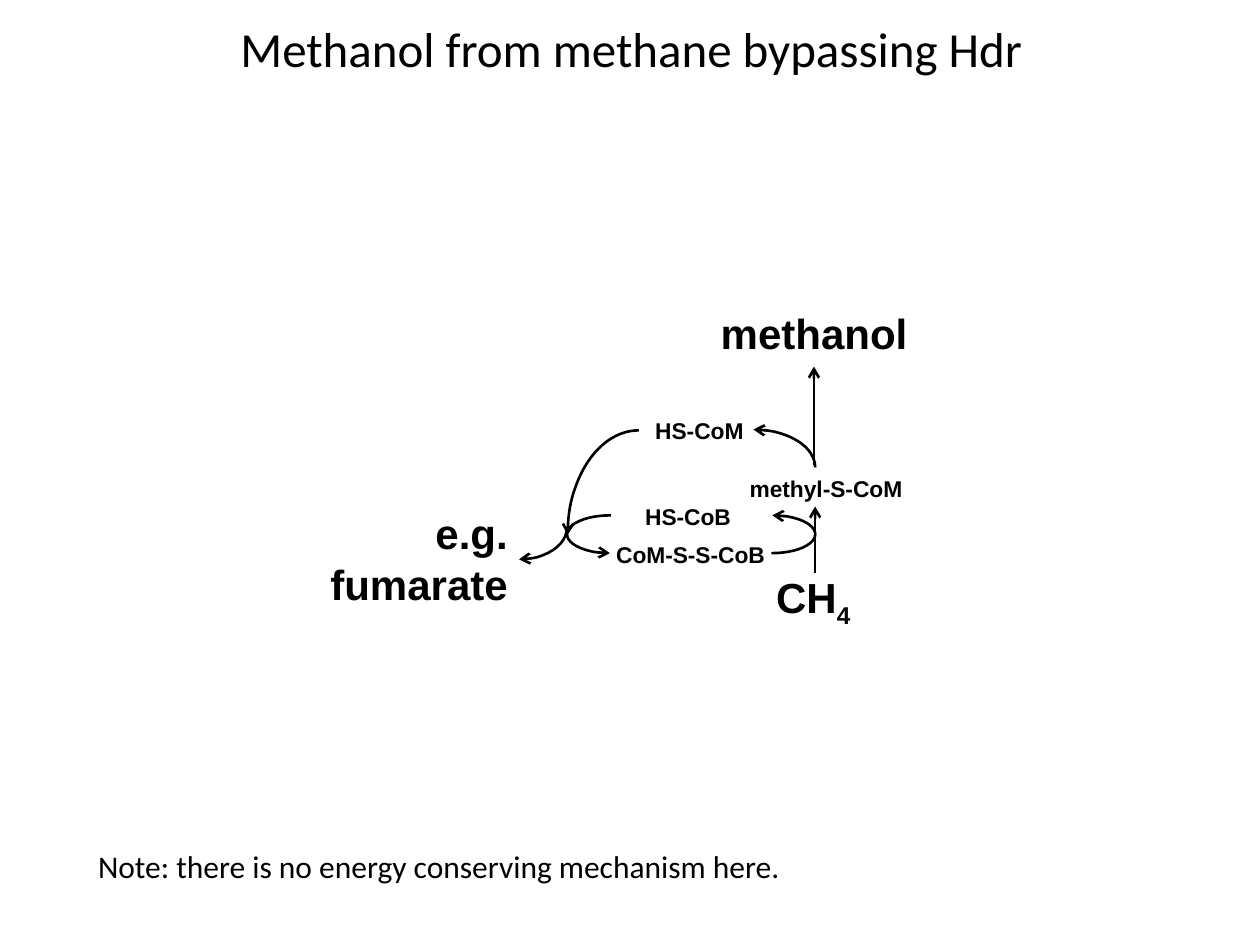
from pptx import Presentation
from pptx.dml.color import RGBColor
from pptx.enum.shapes import MSO_CONNECTOR, MSO_SHAPE
from pptx.enum.text import MSO_ANCHOR, MSO_AUTO_SIZE, PP_ALIGN
from pptx.oxml.ns import qn
from pptx.util import Inches, Pt
from lxml.etree import SubElement

BLACK, WHITE = "000000", "FFFFFF"


def color(hex_value):
    return RGBColor.from_string(hex_value)


def style_text(shape, text, size, font="Calibri", bold=False, align=PP_ALIGN.LEFT):
    frame = shape.text_frame
    frame.word_wrap = True
    frame.auto_size = MSO_AUTO_SIZE.SHAPE_TO_FIT_TEXT
    frame.vertical_anchor = MSO_ANCHOR.TOP
    frame.text = text
    paragraph = frame.paragraphs[0]
    paragraph.alignment = align
    paragraph.font.name = font
    paragraph.font.size = Pt(size)
    paragraph.font.bold = bold
    paragraph.font.color.rgb = color(BLACK)
    return paragraph


def add_label(slide, left, top, width, height, text, size, align=PP_ALIGN.LEFT):
    label = slide.shapes.add_textbox(Inches(left), Inches(top), Inches(width), Inches(height))
    frame = label.text_frame
    frame.margin_left = Inches(0.09)
    frame.margin_right = Inches(0.09 if align == PP_ALIGN.RIGHT else 0)
    frame.margin_top = frame.margin_bottom = Inches(0.05)
    return style_text(label, text, size, "Arial", True, align)


def style_arrow(shape, end):
    shape.line.color.rgb = color(BLACK)
    shape.line.width = Pt(1.5)
    SubElement(shape.line._get_or_add_ln(), qn(f"a:{end}"), type="arrow")


def add_arrow(slide, x, start, end):
    arrow = slide.shapes.add_connector(
        MSO_CONNECTOR.STRAIGHT, Inches(x), Inches(start), Inches(x), Inches(end))
    style_arrow(arrow, "tailEnd")
    SubElement(arrow.element.spPr, qn("a:effectLst"))


def add_arc(slide, left, top, width, height, rotation=0, half=False, flip=False):
    arc = slide.shapes.add_shape(
        MSO_SHAPE.ARC, Inches(left), Inches(top), Inches(width), Inches(height))
    arc.shadow.inherit = False
    arc.rotation = rotation
    if half:
        arc.adjustments[0], arc.adjustments[1] = 162, 55.746
        arc.fill.solid()
        arc.fill.fore_color.rgb = color(WHITE)
    else:
        arc.fill.background()
    if flip:
        arc.element.spPr.xfrm.set("flipV", "1")
    style_arrow(arc, "headEnd")


def add_pathway(slide, left, top):
    add_arrow(slide, left + 4.19, top + 2.16, top + 1.63)
    add_arrow(slide, left + 4.18, top + 1.3, top + 0.52)

    for x, y, width, height, options in (
        (3.51, 1.7, 0.68, 0.3, {"half": True}),
        (2.22, 1.7, 0.68, 0.3, {"half": True, "rotation": 180}),
        (1.96, 1.29, 1.66, 1.13, {"rotation": 270}),
        (3.21, 1.02, 0.98, 0.6, {}),
        (1.46, 1.55, 0.76, 0.5, {"flip": True}),
    ):
        add_arc(slide, left + x, top + y, width, height, **options)

    for x, y, width, text in (
        (3.58, 1.33, 1.74, "methyl-S-CoM"),
        (2.83, 0.87, 0.91, "HS-CoM"),
        (2.52, 1.85, 1.36, "CoM-S-S-CoB"),
        (2.75, 1.55, 0.91, "HS-CoB"),
    ):
        add_label(slide, left + x, top + y, width, 0.31, text, 13)

    add_label(slide, left + 3.35, top, 1.95, 0.5, "methanol", 24)
    add_label(slide, left, top + 1.59, 1.84, 0.9, "e.g. fumarate", 24, PP_ALIGN.RIGHT)
    methane = add_label(slide, left + 3.79, top + 2.1, 0.83, 0.5, "CH", 24)
    subscript = methane.add_run()
    subscript.text = "4"
    subscript.font._element.set("baseline", "-25000")


def add_title(slide, left, top, width, height):
    title = slide.shapes.title
    title.left, title.top = Inches(left), Inches(top)
    title.width, title.height = Inches(width), Inches(height)
    style_text(title, "Methanol from methane bypassing Hdr", 28, align=PP_ALIGN.CENTER)


def add_note(slide, left, top, width, height):
    note = slide.shapes.add_textbox(Inches(left), Inches(top), Inches(width), Inches(height))
    style_text(note, "Note: there is no energy conserving mechanism here.", 18)


presentation = Presentation()
presentation.slide_width = Inches(10)
presentation.slide_height = Inches(7.5)
slide = presentation.slides.add_slide(presentation.slide_layouts[5])
add_title(slide, 0.15, 0.1, 9.72, 0.57)
add_pathway(slide, 2.28, 2.39)
add_note(slide, 0.68, 6.67, 8.6, 0.4)
presentation.save("out.pptx")
